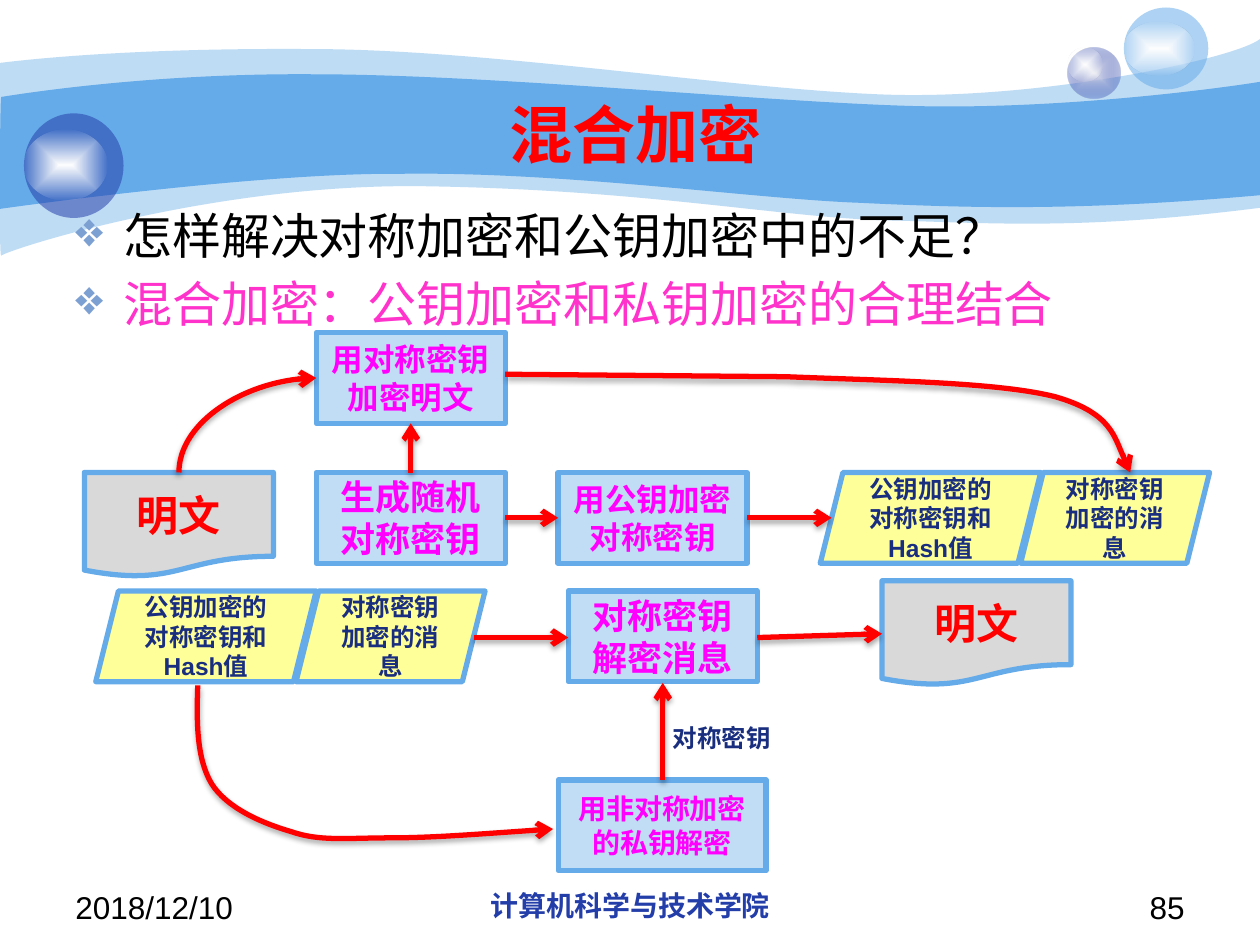
import dataclasses

import pptx
import pptx.dml.color
import pptx.enum.lang
import pptx.enum.shapes
import pptx.enum.text
import pptx.oxml
import pptx.oxml.ns
import pptx.util

Inches = pptx.util.Inches
Pt = pptx.util.Pt
Kind = pptx.enum.shapes.MSO_SHAPE
Connector = pptx.enum.shapes.MSO_CONNECTOR
Align = pptx.enum.text.PP_ALIGN
Anchor = pptx.enum.text.MSO_ANCHOR
NAMESPACE = pptx.oxml.ns.nsdecls("a")


@dataclasses.dataclass(frozen=True)
class Theme:
    font: str = "Arial"
    document_font: str = "Noto Sans CJK SC"
    sky: str = "65AAE9"
    royal: str = "233DA9"
    navy: str = "1A2E7F"
    step_fill: str = "C1DDF6"
    packet_fill: str = "FFFF99"
    document_fill: str = "D9D9D9"
    red: str = "FF0000"
    magenta: str = "FF00FF"
    pink: str = "FF33CC"
    black: str = "000000"
    white: str = "FFFFFF"
    bullet: str = "7DA0D3"
    title: int = 36
    body: int = 28
    document: int = 24
    large: int = 20
    medium: int = 18
    small: int = 16
    label: int = 14
    line: int = 3


THEME = Theme()


def rgb(color):
    return pptx.dml.color.RGBColor.from_string(color)


def element(xml):
    """Parse one drawing element whose tag is followed by a space or by '>'."""
    end = min(i for i in (xml.find(" "), xml.find(">"), xml.find("/>")) if i > 0)
    return pptx.oxml.parse_xml(f"{xml[:end]} {NAMESPACE}{xml[end:]}")


def style_text(paragraph, text, size, color, bold=False, align=Align.CENTER, font=THEME.font):
    paragraph.text = text
    paragraph.alignment = align
    for run in paragraph.runs:
        run.font.size = Pt(size)
        run.font.bold = bold
        run.font.color.rgb = rgb(color)
        run.font.name = font
        run.font.language_id = pptx.enum.lang.MSO_LANGUAGE_ID.SIMPLIFIED_CHINESE
        run.font._element.append(element(f'<a:ea typeface="{font}"/>'))


def add_text(shapes, box, text, size, color, bold=False, align=Align.CENTER, anchor=Anchor.TOP):
    frame = shapes.add_textbox(*map(Inches, box)).text_frame
    frame.word_wrap = True
    frame.vertical_anchor = anchor
    style_text(frame.paragraphs[0], text, size, color, bold, align)


def add_bullets(shapes, box, items):
    frame = shapes.add_textbox(*map(Inches, box)).text_frame
    frame.word_wrap = True
    for index, (text, color) in enumerate(items):
        paragraph = frame.add_paragraph() if index else frame.paragraphs[0]
        if index:
            paragraph.space_before = Pt(0.2 * THEME.body)
        properties = paragraph._p.get_or_add_pPr()
        properties.set("marL", str(Inches(0.38)))
        properties.set("indent", str(Inches(-0.38)))
        properties.append(element(f'<a:buClr><a:srgbClr val="{THEME.bullet}"/></a:buClr>'))
        properties.append(element('<a:buChar char="❖"/>'))
        style_text(paragraph, text, THEME.body, color, align=Align.LEFT)


def fill_solid(shape, color, opacity=100):
    shape.fill.solid()
    shape.fill.fore_color.rgb = rgb(color)
    if opacity < 100:
        shape._element.spPr.xpath("./a:solidFill/a:srgbClr")[0].append(
            element(f'<a:alpha val="{opacity * 1000}"/>'))


def fill_radial(shape, inner, outer, outer_opacity):
    shape.fill.background()
    properties = shape._element.spPr
    properties.replace(properties.xpath("./a:noFill")[0], element(
        f'<a:gradFill rotWithShape="1"><a:gsLst>'
        f'<a:gs pos="0"><a:srgbClr val="{inner}"/></a:gs>'
        f'<a:gs pos="100000"><a:srgbClr val="{outer}">'
        f'<a:alpha val="{outer_opacity * 1000}"/></a:srgbClr></a:gs></a:gsLst>'
        f'<a:path path="shape"><a:fillToRect l="50000" t="50000" r="50000" b="50000"/></a:path>'
        f'</a:gradFill>'))


def add_curve(shapes, start, segments, closed=False):
    """Draw a path; a segment is one end point, or two Bézier handles and an end point."""
    points = [tuple(map(Inches, point)) for segment in segments for point in segment]
    builder = shapes.build_freeform(*map(Inches, start))
    builder.add_line_segments(points, close=False)
    shape = builder.convert_to_shape()
    shape.shadow.inherit = False
    path = shape._element.spPr.xpath(".//a:path")[0]
    steps = iter(path.xpath("./a:lnTo"))
    for segment in segments:
        group = [next(steps) for _ in segment]
        if len(group) == 3:
            bezier = element("<a:cubicBezTo/>")
            group[0].addprevious(bezier)
            for step in group:
                bezier.append(step[0])
                path.remove(step)
    if closed:
        path.append(element("<a:close/>"))
    return shape


def add_band(shapes, start, segments, opacity):
    band = add_curve(shapes, start, segments, closed=True)
    fill_solid(band, THEME.sky, opacity)
    band.line.fill.background()


def add_bubble(shapes, ball, shine, paint):
    group = shapes.add_group_shape()
    for box, fill in ((ball, paint),
                      (shine, lambda oval: fill_radial(oval, THEME.white, THEME.white, 0))):
        oval = group.shapes.add_shape(Kind.OVAL, *map(Inches, box))
        oval.shadow.inherit = False
        oval.line.fill.background()
        fill(oval)


def style_arrow(shape):
    shape.line.color.rgb = rgb(THEME.red)
    shape.line.width = Pt(THEME.line)
    properties = shape._element.spPr
    properties.xpath("./a:ln")[0].append(element('<a:tailEnd type="arrow"/>'))
    for effects in properties.xpath("./a:effectLst"):
        properties.remove(effects)
    properties.append(element(
        '<a:effectLst><a:outerShdw blurRad="40000" dist="23000" dir="5400000" rotWithShape="0">'
        '<a:srgbClr val="000000"><a:alpha val="35000"/></a:srgbClr></a:outerShdw></a:effectLst>'))


def add_arrow(shapes, start, end, kind=Connector.STRAIGHT):
    arrow = shapes.add_connector(kind, *map(Inches, (*start, *end)))
    style_arrow(arrow)
    return arrow


def add_quarter_arrow(shapes, start, end):
    """Leave start upwards and reach end to the right, by a turned one-bend connector."""
    middle_x, middle_y = (start[0] + end[0]) / 2, (start[1] + end[1]) / 2
    half_width, half_height = (start[1] - end[1]) / 2, (end[0] - start[0]) / 2
    arrow = add_arrow(shapes, (middle_x + half_width, middle_y + half_height),
                      (middle_x - half_width, middle_y - half_height), Connector.CURVE)
    arrow._element.spPr.xpath("./a:prstGeom")[0].set("prst", "curvedConnector2")
    arrow._element.spPr.xpath("./a:xfrm")[0].set("rot", str(90 * 60000))


def add_curved_arrow(shapes, start, segments):
    arrow = add_curve(shapes, start, segments)
    arrow.fill.background()
    style_arrow(arrow)


def add_node(shapes, kind, box, fill, text, size, color, font=THEME.font):
    node = shapes.add_shape(kind, *map(Inches, box))
    node.shadow.inherit = False
    fill_solid(node, fill)
    node.line.color.rgb = rgb(THEME.sky)
    node.line.width = Pt(THEME.line)
    node.text_frame.word_wrap = True
    node.text_frame.vertical_anchor = Anchor.MIDDLE
    style_text(node.text_frame.paragraphs[0], text, size, color, True, font=font)


def add_step(shapes, left, top, text, size, width=1.5):
    add_node(shapes, Kind.FLOWCHART_PROCESS, (left, top, width, 0.72), THEME.step_fill,
             text, size, THEME.magenta)


def add_document(shapes, left, top):
    add_node(shapes, Kind.FLOWCHART_DOCUMENT, (left, top, 1.5, 0.83), THEME.document_fill,
             "明文", THEME.document, THEME.red, THEME.document_font)


def add_packet(shapes, left, top):
    for offset, width, text in ((0, 1.75, "公钥加密的对称密钥和Hash值"),
                                (1.59, 1.5, "对称密钥加密的消息")):
        add_node(shapes, Kind.PARALLELOGRAM, (left + offset, top, width, 0.72),
                 THEME.packet_fill, text, THEME.label, THEME.navy)


def add_header(shapes):
    add_band(shapes, (0, 0.5), [
        [(0.24, 0.47), (1.07, 0.38), (2.47, 0.39)], [(3.86, 0.39), (5.75, 0.7), (6.99, 0.75)],
        [(8.22, 0.8), (9.8, 0.47), (10, 0.31)], [(10, 1.65)],
        [(8.58, 1.83), (7.87, 1.77), (7.05, 1.75)], [(6.22, 1.73), (5.15, 1.51), (3.43, 1.48)],
        [(1.72, 1.44), (0.04, 1.99), (0.01, 2.03)], [(-0.01, 2.08), (0, 0.75), (0, 0.5)]], 41)
    add_band(shapes, (0.01, 0.77), [
        [(0.02, 0.77), (1.1, 0.58), (2.48, 0.59)], [(3.86, 0.59), (5.95, 0.8), (7.18, 0.84)],
        [(8.41, 0.88), (9.76, 0.69), (10, 0.65)], [(10, 1.55)],
        [(8.53, 1.68), (7.65, 1.65), (6.82, 1.61)], [(5.99, 1.58), (4.47, 1.36), (3.17, 1.38)],
        [(2.03, 1.37), (-0.02, 1.66), (-0.01, 1.66)], [(0, 1.66), (0, 0.77), (0.01, 0.77)]], 100)
    add_bubble(shapes, (8.47, 0.38, 0.42, 0.4), (8.47, 0.38, 0.28, 0.27),
               lambda oval: fill_radial(oval, "E1E2ED", THEME.royal, 31))
    add_bubble(shapes, (8.92, 0.06, 0.67, 0.65), (8.92, 0.17, 0.56, 0.43),
               lambda oval: fill_solid(oval, THEME.sky, 53))
    add_bubble(shapes, (0.19, 0.9, 0.79, 0.83), (0.19, 1.03, 0.66, 0.56),
               lambda oval: fill_solid(oval, THEME.royal, 53))


def add_encryption(shapes):
    add_document(shapes, 0.67, 3.75)
    add_step(shapes, 2.51, 3.75, "生成随机对称密钥", THEME.large)
    add_step(shapes, 2.51, 2.64, "用对称密钥加密明文", THEME.medium)
    add_step(shapes, 4.43, 3.75, "用公钥加密对称密钥", THEME.medium)
    add_packet(shapes, 6.51, 3.75)
    add_arrow(shapes, (3.26, 3.75), (3.26, 3.36))
    add_quarter_arrow(shapes, (1.42, 3.75), (2.51, 3))
    add_arrow(shapes, (4.01, 4.11), (4.43, 4.11))
    add_arrow(shapes, (5.93, 4.11), (6.6, 4.11))
    add_curved_arrow(shapes, (4.01, 2.97), [
        [(6.24, 2.99)], [(6.96, 3.02), (7.92, 3.03), (8.38, 3.15)],
        [(8.83, 3.28), (8.97, 3.75), (8.97, 3.75)]])


def add_decryption(shapes):
    add_packet(shapes, 0.76, 4.69)
    add_step(shapes, 4.43, 6.19, "用非对称加密的私钥解密", THEME.small, 1.65)
    add_step(shapes, 4.51, 4.69, "对称密钥解密消息", THEME.large)
    add_document(shapes, 7, 4.61)
    add_curved_arrow(shapes, (1.57, 5.44), [
        [(1.56, 5.73), (1.56, 6.02), (1.68, 6.22)], [(1.8, 6.41), (2.07, 6.53), (2.31, 6.6)],
        [(2.54, 6.68), (2.75, 6.65), (3.1, 6.65)], [(3.44, 6.65), (3.92, 6.61), (4.39, 6.58)]])
    add_arrow(shapes, (5.26, 6.19), (5.26, 5.42))
    add_text(shapes, (5.24, 5.69, 1.01, 0.34), "对称密钥", THEME.label, THEME.navy, True, Align.LEFT)
    add_arrow(shapes, (3.76, 5.06), (4.51, 5.06))
    add_arrow(shapes, (6.01, 5.06), (7, 5.03))


def main():
    presentation = pptx.Presentation()
    presentation.slide_width, presentation.slide_height = Inches(10), Inches(7.5)
    shapes = presentation.slides.add_slide(presentation.slide_layouts[6]).shapes
    add_header(shapes)
    add_text(shapes, (0.5, 7, 2.33, 0.35), "2018/12/10", THEME.medium, THEME.black, align=Align.LEFT)
    add_text(shapes, (3.42, 7, 3.17, 0.35), "计算机科学与技术学院", THEME.small, THEME.royal, True)
    add_text(shapes, (7.17, 7, 2.33, 0.35), "85", THEME.medium, THEME.black, align=Align.RIGHT)
    add_text(shapes, (1, 0.75, 8.08, 0.62), "混合加密", THEME.title, THEME.red, True,
             anchor=Anchor.MIDDLE)
    add_bullets(shapes, (0.5, 1.58, 9, 5.33), [
        ("怎样解决对称加密和公钥加密中的不足？", THEME.black),
        ("混合加密：公钥加密和私钥加密的合理结合", THEME.pink)])
    add_encryption(shapes.add_group_shape().shapes)
    add_decryption(shapes.add_group_shape().shapes)
    presentation.save("out.pptx")


if __name__ == "__main__":
    main()
